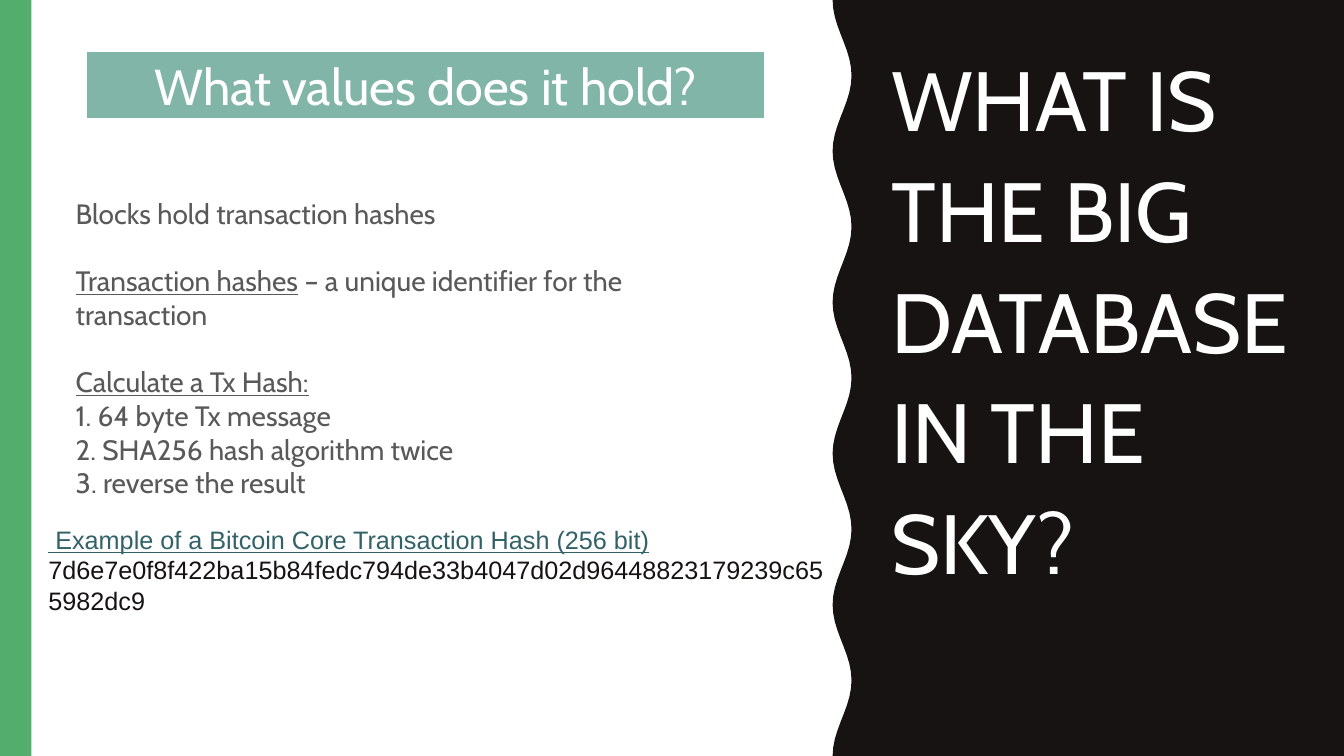
from math import cos, pi

from pptx import Presentation
from pptx.dml.color import RGBColor
from pptx.enum.shapes import MSO_SHAPE
from pptx.enum.text import MSO_ANCHOR as Anchor, MSO_AUTO_SIZE as AutoSize, PP_ALIGN as Align
from pptx.util import Pt

WIDTH, HEIGHT = 960, 540
COLORS = {
    "green": "53AE6E",
    "teal": "81B5A8",
    "ink": "171312",
    "white": "FFFFFF",
    "gray": "595959",
    "link": "326267",
}
HASH_STEPS = [
    "1. 64 byte Tx message",
    "2. SHA256 hash algorithm twice",
    "3. reverse the result",
]
TX_HASH = "7d6e7e0f8f422ba15b84fedc794de33b4047d02d96448823179239c655982dc9"


def color(name):
    return RGBColor.from_string(COLORS[name])


def set_font(font, face, size, shade):
    font.name = face
    font.size = Pt(size)
    font.color.rgb = color(shade)


def paint(shape, fill):
    shape.shadow.inherit = False
    shape.fill.solid()
    shape.fill.fore_color.rgb = color(fill)
    shape.line.fill.background()
    return shape


def add_block(slide, left, top, width, height, fill):
    block = slide.shapes.add_shape(
        MSO_SHAPE.RECTANGLE, Pt(left), Pt(top), Pt(width), Pt(height))
    return paint(block, fill)


def add_wavy_panel(slide, middle, swing, waves, step):
    period = HEIGHT / waves
    edge = [(Pt(middle - swing * cos(2 * pi * y / period)), Pt(y))
            for y in range(HEIGHT, -1, -step)]
    outline = slide.shapes.build_freeform(Pt(WIDTH), Pt(0))
    outline.add_line_segments([(Pt(WIDTH), Pt(HEIGHT))] + edge)
    paint(outline.convert_to_shape(), "ink")


def add_title(slide, text):
    title = slide.shapes.title
    slide.shapes._spTree.append(title._element)
    title.left, title.top, title.width, title.height = Pt(611.5), Pt(23), Pt(323), Pt(441)
    frame = title.text_frame
    frame.text = text
    frame.word_wrap = True
    frame.auto_size = AutoSize.NONE
    frame.vertical_anchor = Anchor.TOP
    frame.margin_left = Pt(25.2)
    heading = frame.paragraphs[0]
    heading.alignment = Align.LEFT
    heading.line_spacing = 1.1
    set_font(heading.font, "Cabin", 60, "white")


def add_banner(slide, text):
    banner = add_block(slide, 60, 35.5, 488, 51, "teal")
    banner.line.color.rgb = color("white")
    banner.line.width = Pt(4)
    frame = banner.text_frame
    frame.text = text
    frame.vertical_anchor = Anchor.MIDDLE
    caption = frame.paragraphs[0]
    caption.alignment = Align.CENTER
    set_font(caption.font, "Cabin", 36, "white")


def add_text_frame(slide, left, top, width, height):
    box = slide.shapes.add_textbox(Pt(left), Pt(top), Pt(width), Pt(height))
    box.text_frame.word_wrap = True
    return box.text_frame


def add_explanation(slide):
    lines = [
        ("", "Blocks hold transaction hashes", 0),
        ("Transaction hashes", " – a unique identifier for the transaction", 24),
        ("Calculate a Tx Hash:", "", 24),
    ] + [("", step, 0) for step in HASH_STEPS]
    frame = add_text_frame(slide, 47, 137, 501, 225)
    for index, (term, rest, gap) in enumerate(lines):
        line = frame.add_paragraph() if index else frame.paragraphs[0]
        if gap:
            line.space_before = Pt(gap)
        if term:
            underlined = line.add_run()
            underlined.text = term
            underlined.font.underline = True
        if rest:
            line.add_run().text = rest
        set_font(line.font, "Cabin", 20, "gray")


def add_example(slide):
    frame = add_text_frame(slide, 27.5, 371, 573, 73)
    example = frame.paragraphs[0]
    label = example.add_run()
    label.text = " Example of a Bitcoin Core Transaction Hash (256 bit)"
    label.font.underline = True
    label.font.color.rgb = color("link")
    example.add_run().text = " " + TX_HASH
    set_font(example.font, "Arial", 18, "ink")


def main():
    deck = Presentation()
    deck.slide_width, deck.slide_height = Pt(WIDTH), Pt(HEIGHT)
    slide = deck.slides.add_slide(deck.slide_layouts[5])
    add_block(slide, 0, 0, 22.5, HEIGHT, "green")
    add_wavy_panel(slide, middle=601.5, swing=6.75, waves=5, step=6)
    add_title(slide, "WHAT IS THE BIG DATABASE IN THE SKY?")
    add_explanation(slide)
    add_banner(slide, "What values does it hold?")
    add_example(slide)
    deck.save("out.pptx")


if __name__ == "__main__":
    main()
